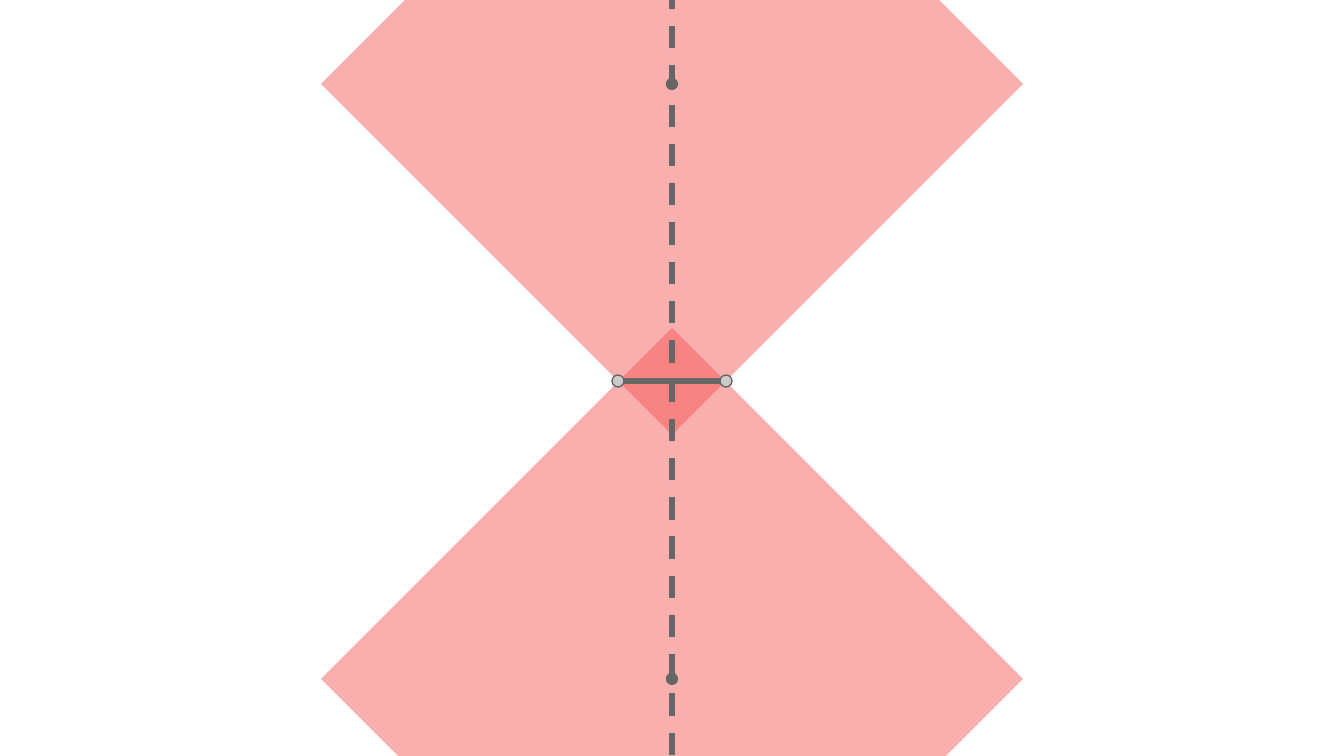
from lxml import etree
from pptx import Presentation
from pptx.dml.color import RGBColor
from pptx.enum.dml import MSO_LINE
from pptx.enum.shapes import MSO_CONNECTOR, MSO_SHAPE
from pptx.oxml.ns import qn
from pptx.util import Pt

W, H = 1344, 756
PX = 9144000 / W
COLORS = {"red": "F44E4E", "dark": "666666", "light": "CCCCCC"}

CENTER_X = W // 2
DIAMOND_YS = [679, 84]
DIAMOND_SIZE, DIAMOND_ALPHA = 702, 45
RING_XS, RING_Y, RING_SIZE = [618, 726], 381, 12
DOT_SIZE = 11


def emu(px):
    return round(px * PX)


def rgb(name):
    return RGBColor.from_string(COLORS[name])


def set_line(line, width, dash=None):
    line.color.rgb = rgb("dark")
    for key, value in {"width": Pt(width), "dash_style": dash}.items():
        setattr(line, key, value)


def add_centered(shapes, kind, x, y, size, fill):
    sp = shapes.add_shape(kind, emu(x - size / 2), emu(y - size / 2), emu(size), emu(size))
    sp.shadow.inherit = False
    sp.fill.solid()
    sp.fill.fore_color.rgb = rgb(fill)
    return sp


def add_diamond(shapes, y):
    sp = add_centered(shapes, MSO_SHAPE.DIAMOND, CENTER_X, y, DIAMOND_SIZE, "red")
    sp.line.fill.background()
    color = sp.fill._xPr.find(qn("a:solidFill"))[0]
    etree.SubElement(color, qn("a:alpha"), val=str(DIAMOND_ALPHA * 1000))
    return sp


def add_circle(shapes, x, y, size, fill):
    sp = add_centered(shapes, MSO_SHAPE.OVAL, x, y, size, fill)
    set_line(sp.line, 0.75)


def add_line(shapes, x1, y1, x2, y2, dash=None):
    cx = shapes.add_connector(MSO_CONNECTOR.STRAIGHT, emu(x1), emu(y1), emu(x2), emu(y2))
    set_line(cx.line, 3, dash)
    etree.SubElement(cx._element.spPr, qn("a:effectLst"))
    return cx


prs = Presentation()
prs.slide_width, prs.slide_height = emu(W), emu(H)
shapes = prs.slides.add_slide(prs.slide_layouts[6]).shapes

lower, upper = [add_diamond(shapes, y) for y in DIAMOND_YS]

rings = shapes.add_group_shape()
for x in RING_XS:
    add_circle(rings.shapes, x, RING_Y, RING_SIZE, "light")

left, right = RING_XS
add_line(shapes, left + RING_SIZE / 2, RING_Y, right - RING_SIZE / 2, RING_Y)

bottom, top = DIAMOND_YS[0] + DIAMOND_SIZE / 2, DIAMOND_YS[1] - DIAMOND_SIZE / 2
axis = add_line(shapes, CENTER_X, bottom, CENTER_X, top, MSO_LINE.DASH)
axis.begin_connect(lower, 2)
axis.end_connect(upper, 0)

for y in reversed(DIAMOND_YS):
    add_circle(shapes, CENTER_X, y, DOT_SIZE, "dark")

prs.save("out.pptx")
